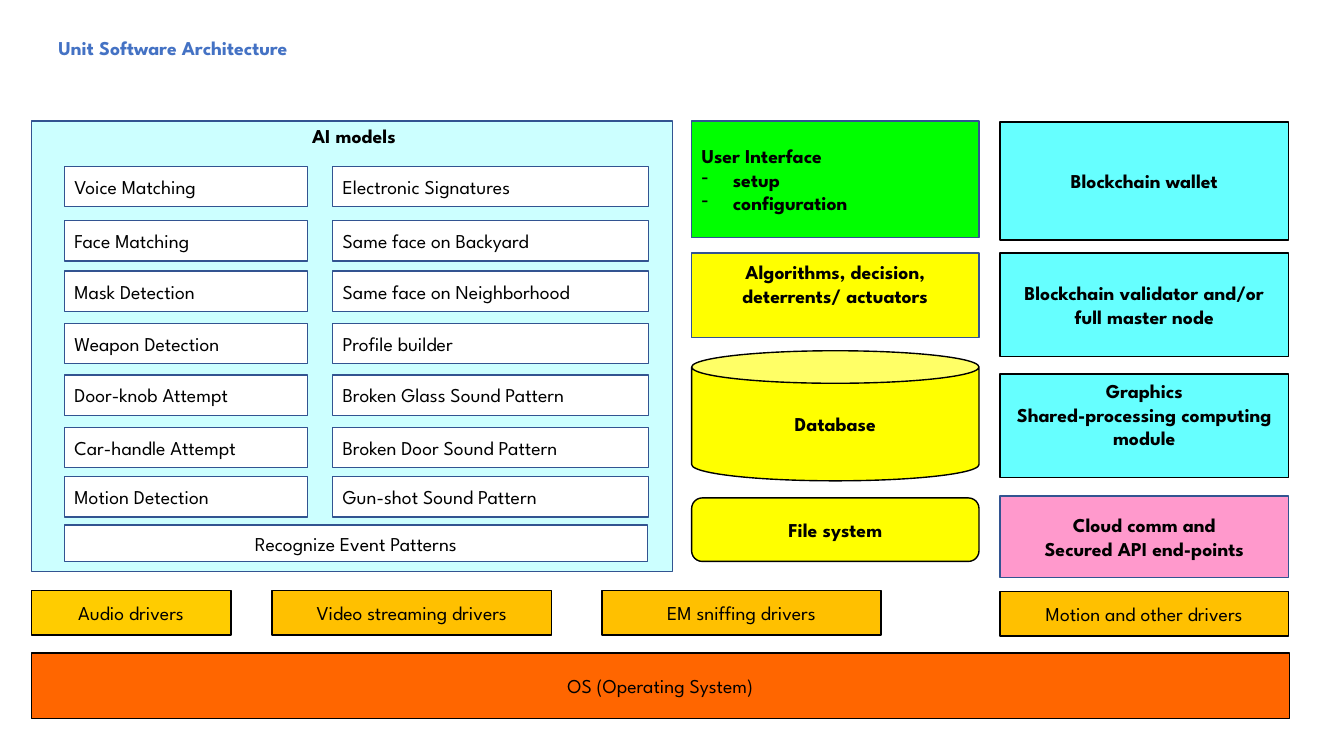
from lxml import etree
from pptx import Presentation
from pptx.dml.color import RGBColor
from pptx.enum.shapes import MSO_SHAPE
from pptx.enum.text import MSO_ANCHOR, PP_ALIGN
from pptx.oxml.ns import qn
from pptx.util import Inches, Pt

RECT, CAN = MSO_SHAPE.RECTANGLE, MSO_SHAPE.CAN
ROUNDED = MSO_SHAPE.ROUNDED_RECTANGLE
LEFT, CENTER = PP_ALIGN.LEFT, PP_ALIGN.CENTER
TOP, MIDDLE = MSO_ANCHOR.TOP, MSO_ANCHOR.MIDDLE

BLACK = RGBColor(0x00, 0x00, 0x00)
WHITE = RGBColor(0xFF, 0xFF, 0xFF)
NAVY = RGBColor(0x32, 0x54, 0x91)
BLUE = RGBColor(0x44, 0x72, 0xC4)
ICE = RGBColor(0xCC, 0xFF, 0xFF)
CYAN = RGBColor(0x66, 0xFF, 0xFF)
GREEN = RGBColor(0x00, 0xFF, 0x00)
YELLOW = RGBColor(0xFF, 0xFF, 0x00)
PINK = RGBColor(0xFF, 0x99, 0xCC)
GOLD = RGBColor(0xFF, 0xCC, 0x00)
AMBER = RGBColor(0xFF, 0xC0, 0x00)
ORANGE = RGBColor(0xFF, 0x66, 0x00)

FONT = "League Spartan"
TITLE = "Unit Software Architecture"
MODEL_ROWS = [
    (1.65, "Voice Matching", "Electronic Signatures"),
    (2.19, "Face Matching", "Same face on Backyard"),
    (2.69, "Mask Detection", "Same face on Neighborhood"),
    (3.21, "Weapon Detection", "Profile builder"),
    (3.72, "Door-knob Attempt", "Broken Glass Sound Pattern"),
    (4.24, "Car-handle Attempt", "Broken Door Sound Pattern"),
    (4.73, "Motion Detection", "Gun-shot Sound Pattern"),
]
MODEL_COLUMNS = [(0.64, 2.41), (3.3, 3.13)]
MODEL_HEIGHT = 0.4
MODELS_PANEL = (0.31, 1.2, 6.36, 4.47)
EVENT_PATTERNS = (0.64, 5.21, 5.78, 0.36)

SERVICE_LEFT, SERVICE_WIDTH = 6.86, 2.85
SERVICES = [
    (1.2, 1.16, RECT, GREEN, NAVY, ["User Interface", "- setup", "- configuration"],
     {"align": LEFT}),
    (2.51, 0.84, RECT, YELLOW, NAVY, ["Algorithms, decision, deterrents/ actuators"],
     {"anchor": TOP, "margins": {"margin_top": 0.07}}),
    (3.48, 1.29, CAN, YELLOW, BLACK, ["Database"], {}),
    (4.94, 0.63, ROUNDED, YELLOW, BLACK, ["File system"], {}),
]
NETWORK_LEFT, NETWORK_WIDTH = 9.92, 2.86
NETWORK = [
    (1.21, 1.17, RECT, CYAN, BLACK, ["Blockchain wallet"], {}),
    (2.51, 1.03, RECT, CYAN, BLACK,
     ["Blockchain validator and/or", "full master node"], {}),
    (3.71, 1.03, RECT, CYAN, BLACK,
     ["Graphics", "Shared-processing computing module"], {"anchor": TOP}),
    (4.92, 0.81, RECT, PINK, NAVY,
     ["Cloud comm and", "Secured API end-points"], {}),
]
DRIVERS = [
    (0.31, 5.86, 1.98, GOLD, "Audio drivers"),
    (2.7, 5.86, 2.77, AMBER, "Video streaming drivers"),
    (5.97, 5.86, 2.77, AMBER, "EM sniffing drivers"),
    (9.92, 5.87, 2.86, AMBER, "Motion and other drivers"),
]
DRIVER_HEIGHT = 0.44
OPERATING_SYSTEM = (0.31, 6.48, 12.48, 0.65)


def style_font(paragraph, color, bold):
    for attribute, value in {"name": FONT, "size": Pt(14), "bold": bold}.items():
        setattr(paragraph.font, attribute, value)
    paragraph.font.color.rgb = color


def add_dash(paragraph):
    properties = paragraph._p.get_or_add_pPr()
    properties.set("marL", str(Inches(0.31)))
    properties.set("indent", str(-Inches(0.31)))
    etree.SubElement(properties, qn("a:buChar")).set("char", "-")


def add_block(slide, box, lines, fill, line, kind=RECT, align=CENTER,
              anchor=MIDDLE, bold=False, margins=None):
    block = slide.shapes.add_shape(kind, *map(Inches, box))
    block.shadow.inherit = False
    block.fill.solid()
    block.fill.fore_color.rgb = fill
    block.line.color.rgb = line
    block.line.width = Pt(1)
    frame = block.text_frame
    frame.word_wrap = True
    frame.vertical_anchor = anchor
    for side, inset in (margins or {}).items():
        setattr(frame, side, Inches(inset))
    for index, text in enumerate(lines):
        paragraph = frame.add_paragraph() if index else frame.paragraphs[0]
        paragraph.text = text.removeprefix("- ")
        paragraph.alignment = align
        if text.startswith("- "):
            add_dash(paragraph)
        style_font(paragraph, BLACK, bold)


def add_title(slide):
    title = slide.shapes.title
    for attribute, value in {"left": 0.48, "top": 0.3, "width": 4, "height": 0.34}.items():
        setattr(title, attribute, Inches(value))
    title.text_frame.text = TITLE
    title.text_frame.vertical_anchor = MIDDLE
    heading = title.text_frame.paragraphs[0]
    heading.alignment = LEFT
    style_font(heading, BLUE, True)


def main():
    deck = Presentation()
    deck.slide_width, deck.slide_height = Inches(13.33), Inches(7.5)
    slide = deck.slides.add_slide(deck.slide_layouts[5])
    add_title(slide)

    add_block(slide, MODELS_PANEL, ["AI models"], ICE, NAVY, anchor=TOP, bold=True,
              margins={"margin_top": 0.03, "margin_left": 0.14})
    for top, *names in MODEL_ROWS:
        for (left, width), name in zip(MODEL_COLUMNS, names):
            add_block(slide, (left, top, width, MODEL_HEIGHT), [name],
                      WHITE, NAVY, align=LEFT)
    add_block(slide, EVENT_PATTERNS, ["Recognize Event Patterns"], WHITE, NAVY)

    for left, width, modules in ((SERVICE_LEFT, SERVICE_WIDTH, SERVICES),
                                 (NETWORK_LEFT, NETWORK_WIDTH, NETWORK)):
        for top, height, kind, fill, line, lines, layout in modules:
            add_block(slide, (left, top, width, height), lines, fill, line,
                      kind, bold=True, **layout)

    for left, top, width, fill, name in DRIVERS:
        add_block(slide, (left, top, width, DRIVER_HEIGHT), [name], fill, BLACK)
    add_block(slide, OPERATING_SYSTEM, ["OS (Operating System)"], ORANGE, BLACK)
    deck.save("out.pptx")


if __name__ == "__main__":
    main()
